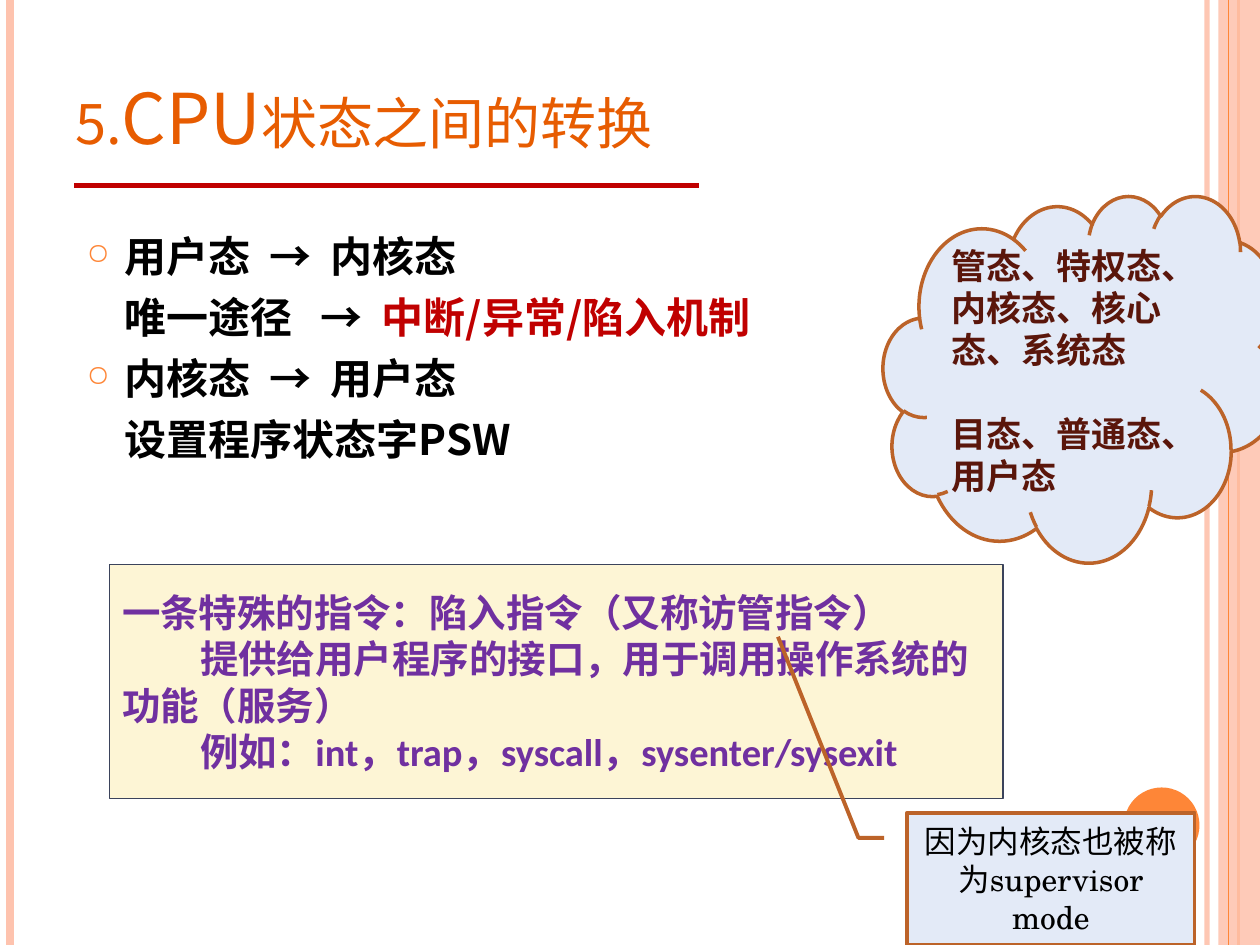
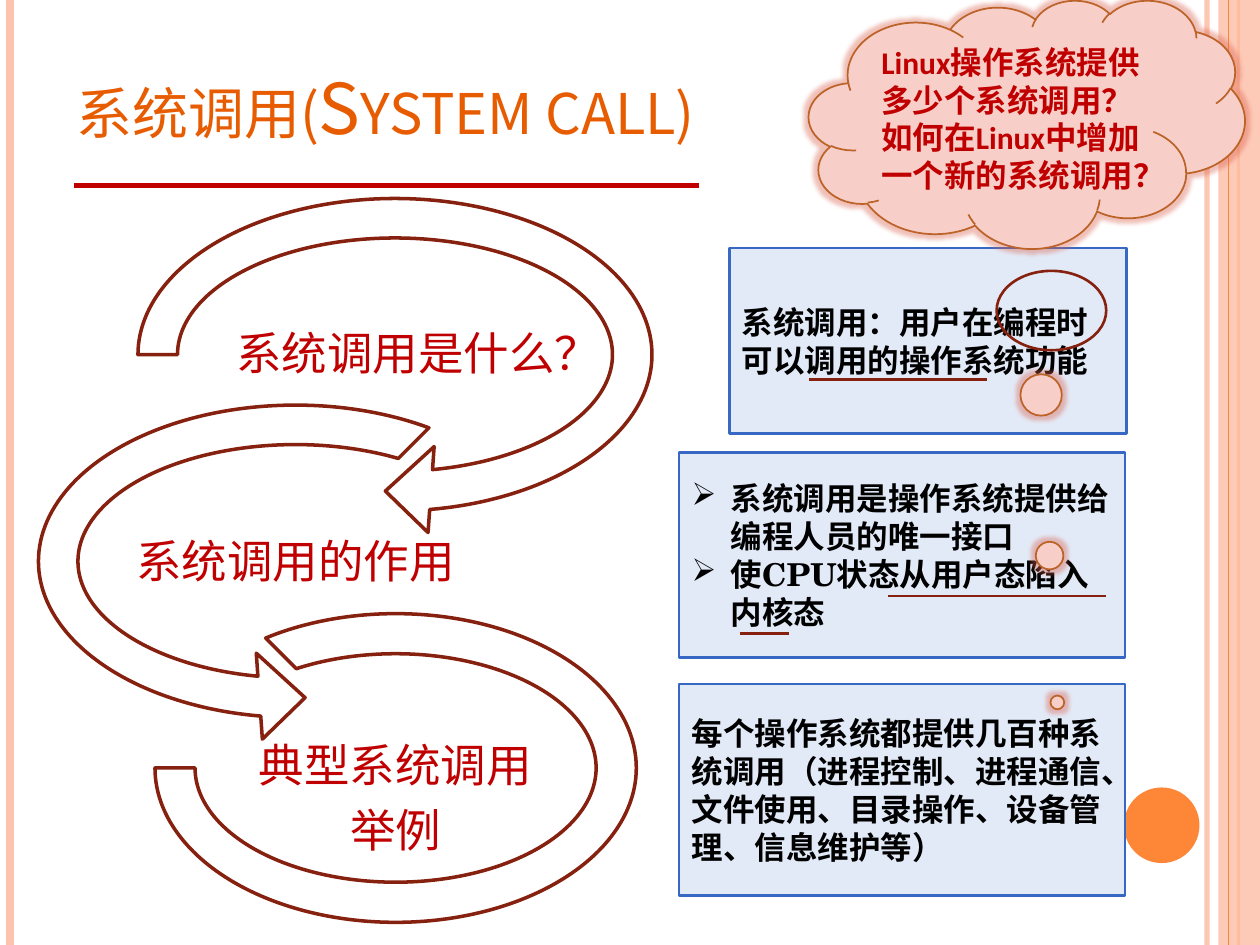
from dataclasses import dataclass
from typing import Optional

from pptx import Presentation
from pptx.dml.color import RGBColor
from pptx.enum.shapes import MSO_CONNECTOR, MSO_SHAPE
from pptx.enum.text import MSO_ANCHOR, PP_ALIGN
from pptx.oxml.ns import qn
from pptx.util import Inches, Pt
from lxml.etree import SubElement

SANS, SERIF, HUMANIST = "Noto Sans CJK SC", "TeX Gyre Schola", "Calibri"
ORANGE, PEACH, TITLE_ORANGE = "FE8637", "FEC3AE", "E75C01"
RED, MAROON, DARK_MAROON, RUST = "C00000", "862110", "5A160B", "BC6329"
PALE_BLUE, BLUE, CREAM, SLATE = "E3EAF7", "3668C4", "FDF5D5", "3B435B"
PINK, GLOW, PURPLE, BLACK, WHITE = "F8CFC8", "D9604C", "7030A0", "000000", "FFFFFF"


@dataclass(frozen=True)
class Style:
    font: str
    size: int
    color: str = BLACK
    bold: bool = True
    small_caps: bool = False


@dataclass(frozen=True)
class Span:
    text: str
    color: Optional[str] = None
    spacing: int = 0


@dataclass(frozen=True)
class Line:
    content: str | tuple[Span, ...]
    left: float = 0
    first: float = 0
    before: float = 0
    bullet: str = ""


@dataclass(frozen=True)
class Text:
    style: Style
    lines: tuple[Line, ...]
    anchor: MSO_ANCHOR = MSO_ANCHOR.MIDDLE
    align: PP_ALIGN = PP_ALIGN.LEFT
    leading: Optional[float] = 1.2
    inset: Optional[float] = None


@dataclass(frozen=True)
class Panel:
    kind: MSO_SHAPE
    at: tuple[float, float, float, float]
    fill: Optional[str] = None
    line: Optional[str] = None
    width: float = 1
    adjust: tuple[float, ...] = ()
    text: Optional[Text] = None


@dataclass(frozen=True)
class Rule:
    start: tuple[float, float]
    end: tuple[float, float]
    color: str
    width: float
    opacity: int = 100


def rgb(color: str) -> RGBColor:
    return RGBColor.from_string(color)


def set_opacity(element, percent: int) -> None:
    SubElement(element.find(".//" + qn("a:srgbClr")), qn("a:alpha"), val=str(percent * 1000))


def draw_rule(page, rule: Rule) -> None:
    ends = [Inches(value) for value in rule.start + rule.end]
    connector = page.shapes.add_connector(MSO_CONNECTOR.STRAIGHT, *ends)
    connector.line.color.rgb = rgb(rule.color)
    connector.line.width = Pt(rule.width)
    properties = connector._element.spPr
    if rule.opacity < 100:
        set_opacity(properties, rule.opacity)
    SubElement(properties, qn("a:effectLst"))


def add_bullet(para, symbol: str) -> None:
    properties = para._p.get_or_add_pPr()
    if symbol == "○":
        color = SubElement(properties, qn("a:buClr"))
        SubElement(color, qn("a:srgbClr"), val=ORANGE)
        SubElement(properties, qn("a:buSzPct"), val="70000")
    SubElement(properties, qn("a:buChar"), char=symbol)


def format_span(span, style: Style, part: Span) -> None:
    span.font.name = style.font
    span.font.size = Pt(style.size)
    span.font.bold = style.bold
    span.font.color.rgb = rgb(part.color or style.color)
    properties = span._r.get_or_add_rPr()
    SubElement(properties, qn("a:ea"), typeface=SANS)
    if style.small_caps:
        properties.set("cap", "small")
    if part.spacing:
        properties.set("spc", str(part.spacing))


def write_text(box, text: Text) -> None:
    frame = box.text_frame
    frame.word_wrap = True
    frame.vertical_anchor = text.anchor
    if text.inset is not None:
        frame.margin_left = frame.margin_right = Inches(text.inset)
        frame.margin_top = frame.margin_bottom = Inches(text.inset)
    for index, line in enumerate(text.lines):
        para = frame.add_paragraph() if index else frame.paragraphs[0]
        if line.bullet:
            add_bullet(para, line.bullet)
        properties = para._p.get_or_add_pPr()
        properties.set("marL", str(Inches(line.left)))
        properties.set("indent", str(Inches(line.first)))
        para.alignment = text.align
        if line.before:
            para.space_before = Pt(line.before)
        if text.leading:
            para.line_spacing = Pt(round(text.style.size * text.leading, 1))
        parts = (Span(line.content),) if isinstance(line.content, str) else line.content
        for part in parts:
            span = para.add_run()
            span.text = part.text
            format_span(span, text.style, part)


def draw_panel(page, panel: Panel):
    shape = page.shapes.add_shape(panel.kind, *map(Inches, panel.at))
    shape.shadow.inherit = False
    for index, value in enumerate(panel.adjust):
        shape.adjustments[index] = value
    if panel.fill:
        shape.fill.solid()
        shape.fill.fore_color.rgb = rgb(panel.fill)
    else:
        shape.fill.background()
    if panel.line:
        shape.line.color.rgb = rgb(panel.line)
        shape.line.width = Pt(panel.width)
    else:
        shape.line.fill.background()
    if panel.text:
        write_text(shape, panel.text)
    return shape


def draw_text(page, at: tuple[float, float, float, float], text: Text) -> None:
    write_text(page.shapes.add_textbox(*map(Inches, at)), text)


def add_glow(shape) -> None:
    effects = shape._element.spPr.find(qn("a:effectLst"))
    glow = SubElement(effects, qn("a:glow"), rad=str(Pt(5)))
    SubElement(glow, qn("a:srgbClr"), val=GLOW)
    set_opacity(glow, 40)


def vertical(x: float, color: str, width: float, opacity: int = 100) -> Rule:
    return Rule((x, 0), (x, 7.5), color, width, opacity)


def add_page(deck, title: str, title_at: tuple[float, float, float, float]):
    page = deck.slides.add_slide(deck.slide_layouts[6])
    for rule in (vertical(9.58, PEACH, 3, 93), vertical(0.08, PEACH, 4.5), vertical(9.83, ORANGE, 1.5)):
        draw_rule(page, rule)
    band = draw_panel(page, Panel(MSO_SHAPE.RECTANGLE, (9.67, 0, 0.33, 7.5), PEACH))
    set_opacity(band._element.spPr, 87)
    draw_rule(page, vertical(9.75, ORANGE, 0.75))
    draw_panel(page, Panel(MSO_SHAPE.OVAL, (8.92, 6.25, 0.6, 0.6), ORANGE))
    draw_rule(page, Rule((0.59, 1.47), (5.55, 1.47), RED, 3))
    style = Style(SANS, 40, TITLE_ORANGE, bold=False, small_caps=True)
    draw_text(page, title_at, Text(style, (Line(title),), MSO_ANCHOR.BOTTOM, leading=None))
    return page


def arrow(gap: int) -> tuple[Span, Span]:
    return Span(" ", spacing=gap), Span("→ ", spacing=270)


def build_state_switching(deck) -> None:
    page = add_page(deck, "5.CPU状态之间的转换", (0.5, 0.3, 8.17, 1.01))
    body = (
        Line((Span("用户态"), *arrow(540), Span("内核态")), 0.3, -0.3, bullet="○"),
        Line((Span("唯一途径"), *arrow(1080), Span("中断/异常/陷入机制", RED)), 0.3, before=6),
        Line((Span("内核态"), *arrow(540), Span("用户态")), 0.3, -0.3, 6, "○"),
        Line("设置程序状态字PSW", 0.3, before=6),
    )
    draw_text(page, (0.59, 1.78, 8.1, 4.6), Text(Style(SANS, 24), body, MSO_ANCHOR.TOP))
    trap = (
        Line("一条特殊的指令：陷入指令（又称访管指令）"),
        Line("提供给用户程序的接口，用于调用操作系统的", first=0.62),
        Line("功能（服务）"),
        Line("例如：int，trap，syscall，sysenter/sysexit", first=0.62),
    )
    supervisor = (Line("因为内核态也被称为supervisor mode"),)
    modes = (Line("管态、特权态、内核态、核心态、系统态"), Line("目态、普通态、用户态", before=24))
    panels = (
        Panel(MSO_SHAPE.RECTANGLE, (0.87, 4.48, 7.09, 1.86), CREAM, SLATE, 0.75,
              text=Text(Style(HUMANIST, 22, PURPLE), trap)),
        Panel(MSO_SHAPE.LINE_CALLOUT_2, (7.2, 6.45, 2.28, 1.05), PALE_BLUE, RUST, 2.25,
              (0.19, -0.08, 0.19, -0.17, -1.33, -0.45),
              Text(Style(SERIF, 18, bold=False), supervisor, align=PP_ALIGN.CENTER)),
        Panel(MSO_SHAPE.CLOUD, (7.01, 1.55, 3.19, 2.91), PALE_BLUE, RUST, 2,
              text=Text(Style(SERIF, 20, DARK_MAROON), modes)),
    )
    for panel in panels:
        draw_panel(page, panel)


def build_system_call(deck) -> None:
    page = add_page(deck, "系统调用(System call)", (0.51, 0.3, 8.2, 0.93))
    step_style = Style(SANS, 26, RED, bold=False)
    steps = (
        (MSO_SHAPE.CIRCULAR_ARROW, (0.91, 1.39, 4.45, 2.85), (0.11, 11.42, 45, 108, 0.12),
         (1.8, 2.42, 2.68, 0.79), (Line("系统调用是什么？"),)),
        (MSO_SHAPE.LEFT_CIRCULAR_ARROW, (0.12, 3.03, 4.45, 2.85), (0.11, 11.42, 63, 189, 0.12),
         (1.0, 4.07, 2.69, 0.79), (Line("系统调用的作用"),)),
        (MSO_SHAPE.BLOCK_ARC, (1.23, 4.87, 3.82, 2.45), (135, 108, 0.13),
         (1.8, 5.95, 2.68, 0.79), (Line("典型系统调用"), Line("举例", before=9))),
    )
    for kind, at, adjust, label_at, lines in steps:
        draw_panel(page, Panel(kind, at, WHITE, MAROON, 2, adjust))
        draw_text(page, label_at, Text(step_style, lines, align=PP_ALIGN.CENTER, leading=1.08, inset=0.02))

    definition = (Line("系统调用：用户在编程时可以调用的操作系统功能"),)
    purpose = tuple(Line(words, 0.31, -0.31, bullet="➢") for words in (
        "系统调用是操作系统提供给编程人员的唯一接口", "使CPU状态从用户态陷入内核态"))
    examples = (Line("每个操作系统都提供几百种系统调用（进程控制、进程通信、"
                     "文件使用、目录操作、设备管理、信息维护等）"),)
    answers = (
        ((5.79, 1.97, 3.15, 1.47), SANS, definition),
        ((5.39, 3.59, 3.54, 1.63), SERIF, purpose),
        ((5.39, 5.43, 3.54, 1.68), SERIF, examples),
    )
    for at, font, lines in answers:
        draw_panel(page, Panel(MSO_SHAPE.RECTANGLE, at, PALE_BLUE, BLUE, 1.5, text=Text(Style(font, 18), lines)))

    questions = (Line("Linux操作系统提供多少个系统调用？"), Line("如何在Linux中增加一个新的系统调用？"))
    cloud = Panel(MSO_SHAPE.CLOUD_CALLOUT, (6.42, 0, 3.46, 1.97), PINK, RUST, 1, (0.07, 2.33),
                  Text(Style(HUMANIST, 18, RED), questions))
    add_glow(draw_panel(page, cloud))
    draw_panel(page, Panel(MSO_SHAPE.OVAL, (7.91, 2.15, 0.87, 0.63), line=MAROON, width=1.5))
    for left, right, y in ((6.42, 7.83, 3.01), (7.05, 8.78, 4.73), (5.87, 6.26, 5.03)):
        draw_rule(page, Rule((left, y), (right, y), MAROON, 1.5))


def main() -> None:
    deck = Presentation()
    deck.slide_width, deck.slide_height = Inches(10), Inches(7.5)
    build_state_switching(deck)
    build_system_call(deck)
    deck.save("out.pptx")


if __name__ == "__main__":
    main()
